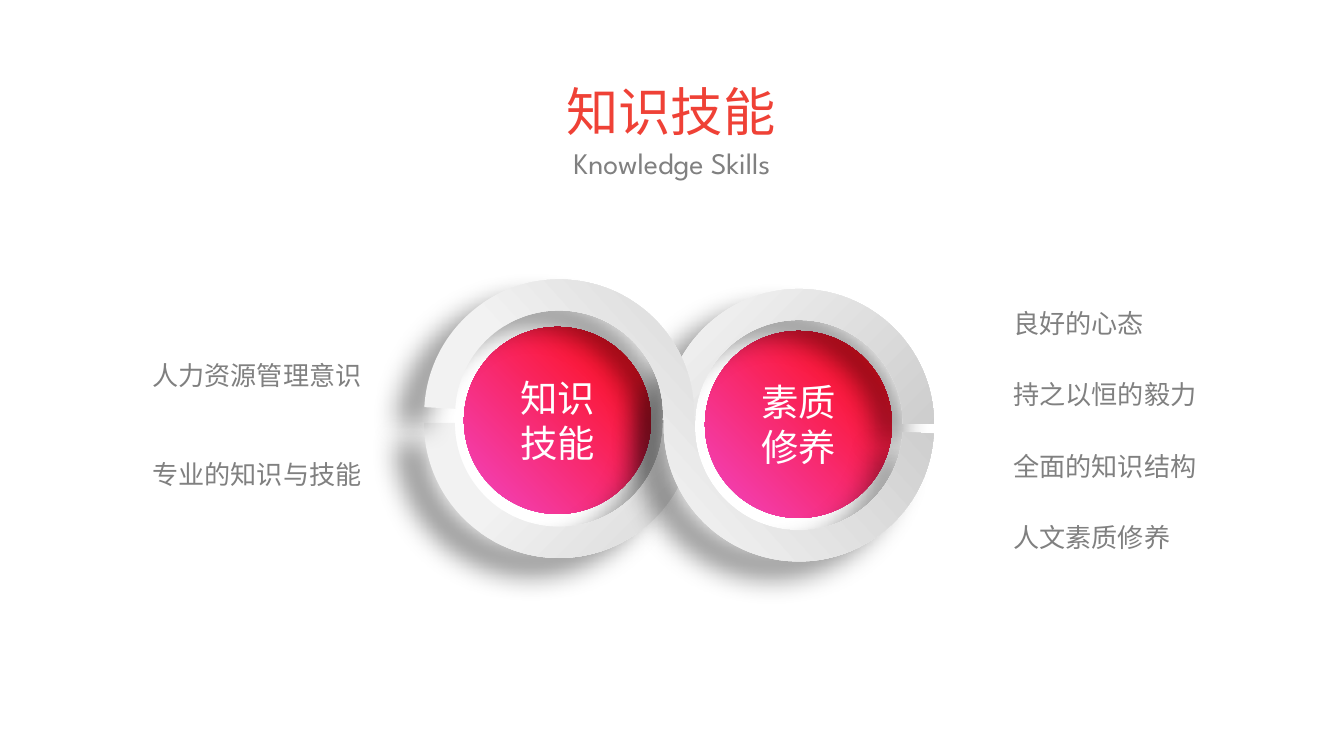
import math
from dataclasses import dataclass
from typing import NamedTuple

from lxml import etree
from pptx import Presentation
from pptx import util as u
from pptx.dml.color import RGBColor
from pptx.enum import shapes, text
from pptx.oxml import ns

EMU_PER_PX = 9144000 / 1344


@dataclass(frozen=True)
class Theme:
    font: str = "League Spartan"
    title: str = "EF4136"
    muted: str = "808080"
    white: str = "FFFFFF"
    disc: tuple = ((0, "F145C4"), (1, "FF0909"))
    ribbon: tuple = ((0.36, "F2F2F2"), (1, "BFBFBF"))
    rising: int = 45
    falling: int = 315
    title_size: int = 28
    disc_size: int = 20
    subtitle_size: int = 16
    item_size: int = 14


class Box(NamedTuple):
    left: int
    top: int
    width: int
    height: int


class Ring(NamedTuple):
    x: int
    y: int


class Disc(NamedTuple):
    label: str
    box: Box


class ItemList(NamedTuple):
    items: tuple
    box: Box
    span: int
    align: text.PP_ALIGN


THEME = Theme()
OUTER, INNER = 135, 104
LEFT_RING, RIGHT_RING = Ring(559, 423), Ring(799, 424)
MIRROR_SUM = 844
MIRROR_ROTATION = 3.1
QUARTER_HANDLE = 0.5523
DISCS = (
    Disc("知识技能", Box(464, 327, 187, 187)),
    Disc("素质修养", Box(705, 331, 187, 187)),
)
LISTS = (
    ItemList(("人力资源管理意识", "专业的知识与技能"),
             Box(137, 353, 238, 46), 99, text.PP_ALIGN.RIGHT),
    ItemList(("良好的心态", "持之以恒的毅力", "全面的知识结构", "人文素质修养"),
             Box(1000, 301, 212, 46), 214, text.PP_ALIGN.LEFT),
)


def px(value: float) -> int:
    return round(value * EMU_PER_PX)


def write(shape, content: str, size: int, color: str, align, wrap: bool = True) -> None:
    frame = shape.text_frame
    frame.text = content
    frame.word_wrap = wrap
    paragraph = frame.paragraphs[0]
    paragraph.alignment = align
    paragraph.font.name = THEME.font
    paragraph.font.size = u.Pt(size)
    paragraph.font.color.rgb = RGBColor.from_string(color)


def paint(shape, stops: tuple, angle: int) -> None:
    shape.shadow.inherit = False
    shape.line.fill.background()
    shape.fill.gradient()
    shape.fill.gradient_angle = angle
    for stop, (position, color) in zip(shape.fill.gradient_stops, stops):
        stop.position = position
        stop.color.rgb = RGBColor.from_string(color)


def cast_shadow(shape) -> None:
    effects = shape._element.spPr.find(ns.qn("a:effectLst"))
    shadow = etree.SubElement(
        effects, ns.qn("a:outerShdw"), blurRad=str(u.Pt(14)), dist=str(u.Pt(18)),
        dir=str(147 * 60000), algn="ctr", rotWithShape="0")
    color = etree.SubElement(shadow, ns.qn("a:srgbClr"), val="000000")
    etree.SubElement(color, ns.qn("a:alpha"), val="40000")


def arc(ring: Ring, radius: int, start: int, end: int) -> list:
    turn = 1 if end > start else -1
    curves = []
    for angle in range(start, end, 90 * turn):
        first, last = math.radians(angle), math.radians(angle + 90 * turn)
        points = []
        for theta, handle in ((first, turn), (last, -turn), (last, 0)):
            reach = handle * QUARTER_HANDLE
            points.append((
                ring.x + radius * (math.cos(theta) - reach * math.sin(theta)),
                ring.y - radius * (math.sin(theta) + reach * math.cos(theta))))
        curves.append(points)
    return curves


def ribbon_segments() -> list:
    return (
        arc(RIGHT_RING, OUTER, 90, 0)
        + [[(RIGHT_RING.x + INNER, RIGHT_RING.y)]]
        + arc(RIGHT_RING, INNER, 0, 180)
        + [[(LEFT_RING.x + OUTER, LEFT_RING.y)]]
        + arc(LEFT_RING, OUTER, 360, 180)
        + [[(LEFT_RING.x - INNER, LEFT_RING.y)]]
        + arc(LEFT_RING, INNER, 180, 360)
        + [[(RIGHT_RING.x - OUTER, RIGHT_RING.y)]]
        + arc(RIGHT_RING, OUTER, 180, 90)
    )


def add_ribbon(slide, segments: list, angle: int, rotation: float = 0) -> None:
    ends = [(px(x), px(y)) for x, y in (segment[-1] for segment in segments)]
    builder = slide.shapes.build_freeform(*ends[-1])
    builder.add_line_segments(ends, close=True)
    shape = builder.convert_to_shape()
    lines = list(shape._element.iter(ns.qn("a:lnTo")))
    for line, segment in zip(lines, segments):
        if len(segment) == 3:
            curve = etree.Element(ns.qn("a:cubicBezTo"))
            for x, y in segment:
                etree.SubElement(curve, ns.qn("a:pt"), x=str(px(x) - shape.left),
                                 y=str(px(y) - shape.top))
            line.getparent().replace(line, curve)
    shape.rotation = rotation
    paint(shape, THEME.ribbon, angle)
    cast_shadow(shape)


def add_disc(slide, disc: Disc) -> None:
    shape = slide.shapes.add_shape(shapes.MSO_SHAPE.OVAL, *map(px, disc.box))
    paint(shape, THEME.disc, THEME.rising)
    shape.text_frame.vertical_anchor = text.MSO_ANCHOR.MIDDLE
    write(shape, disc.label, THEME.disc_size, THEME.white, text.PP_ALIGN.CENTER)


def add_list(slide, entry: ItemList) -> None:
    for index, item in enumerate(entry.items):
        offset = round(index * entry.span / (len(entry.items) - 1))
        box = entry.box._replace(top=entry.box.top + offset)
        shape = slide.shapes.add_textbox(*map(px, box))
        write(shape, item, THEME.item_size, THEME.muted, entry.align)


def add_heading(slide) -> None:
    title = slide.shapes.title
    title.left, title.top, title.width, title.height = map(px, Box(553, 72, 238, 77))
    title.text_frame.vertical_anchor = text.MSO_ANCHOR.TOP
    write(title, "知识技能", THEME.title_size, THEME.title, text.PP_ALIGN.LEFT, wrap=False)
    subtitle = slide.shapes.add_textbox(*map(px, Box(503, 138, 338, 50)))
    write(subtitle, "Knowledge Skills", THEME.subtitle_size, THEME.muted,
          text.PP_ALIGN.CENTER)


def main() -> None:
    presentation = Presentation()
    presentation.slide_width, presentation.slide_height = px(1344), px(756)
    slide = presentation.slides.add_slide(presentation.slide_layouts[5])
    add_heading(slide)
    for disc in DISCS:
        add_disc(slide, disc)
    segments = ribbon_segments()
    mirrored = [[(x, MIRROR_SUM - y) for x, y in segment] for segment in segments]
    add_ribbon(slide, segments, THEME.falling)
    add_ribbon(slide, mirrored, THEME.rising, MIRROR_ROTATION)
    for entry in LISTS:
        add_list(slide, entry)
    presentation.save("out.pptx")


if __name__ == "__main__":
    main()
